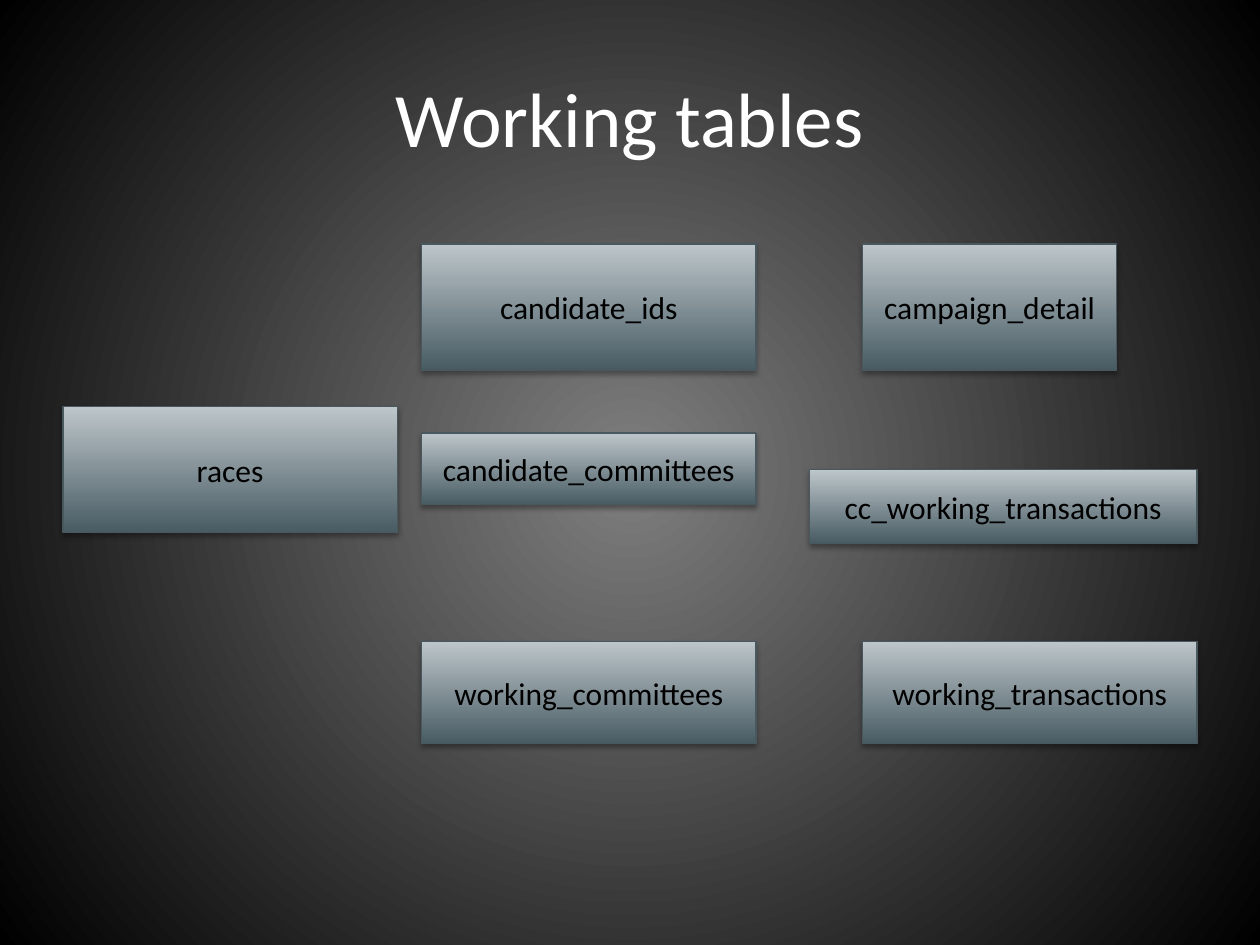
from dataclasses import dataclass

from lxml.etree import SubElement
from pptx import Presentation
from pptx.dml.color import RGBColor
from pptx.enum.shapes import MSO_SHAPE
from pptx.enum.text import MSO_ANCHOR, PP_ALIGN
from pptx.oxml.ns import qn
from pptx.util import Pt


@dataclass(frozen=True)
class Theme:
    """Colours and type sizes of the slide."""
    font: str = "Calibri"
    title_size: float = 44
    label_size: float = 18
    title_color: str = "FFFFFF"
    label_color: str = "000000"
    backdrop: tuple = ("7F7F7F", "000000")
    table_fill: tuple = ("485B63", "BDC6CA")
    table_line: str = "49585E"
    shadow: str = "000000"


THEME = Theme()
COLUMN_WIDTH = 191
LEFT, MIDDLE, RIGHT = 36, 241, 493
TOP_ROW, BOTTOM_ROW = 139.5, 366.5
TABLES = [
    ("races", (LEFT, 232.5, COLUMN_WIDTH, 72)),
    ("candidate_ids", (MIDDLE, TOP_ROW, COLUMN_WIDTH, 72)),
    ("working_transactions", (RIGHT, BOTTOM_ROW, COLUMN_WIDTH, 58.5)),
    ("candidate_committees", (MIDDLE, 247.5, COLUMN_WIDTH, 41)),
    ("campaign_detail", (RIGHT, TOP_ROW, 145, 72)),
    ("cc_working_transactions", (462.5, 268.5, 221.5, 42)),
    ("working_committees", (MIDDLE, BOTTOM_ROW, COLUMN_WIDTH, 58.5)),
]


def set_gradient(fill, colors):
    """Give a fill a two-colour gradient."""
    fill.gradient()
    for stop, color in zip(fill.gradient_stops, colors):
        stop.color.rgb = RGBColor.from_string(color)


def paint_background(slide):
    """Fill the slide with a gradient that spreads from its centre."""
    background = slide.background
    set_gradient(background.fill, THEME.backdrop)
    gradient = next(slide.element.iter(qn("a:gradFill")))
    gradient.remove(gradient.find(qn("a:lin")))
    circle = SubElement(gradient, qn("a:path"), {"path": "circle"})
    SubElement(circle, qn("a:fillToRect"), dict.fromkeys("ltrb", "50000"))


def write_centred(shape, text, size, color):
    """Write one line in the middle of a shape."""
    frame = shape.text_frame
    frame.word_wrap = True
    frame.vertical_anchor = MSO_ANCHOR.MIDDLE
    paragraph = frame.paragraphs[0]
    paragraph.text = text
    paragraph.alignment = PP_ALIGN.CENTER
    paragraph.font.name = THEME.font
    paragraph.font.size = Pt(size)
    paragraph.font.color.rgb = RGBColor.from_string(color)


def add_title(slide, text, box):
    """Place the slide title in its box."""
    title = slide.shapes.add_textbox(*map(Pt, box))
    write_centred(title, text, THEME.title_size, THEME.title_color)


def cast_shadow(shape):
    """Put a soft shadow below a shape."""
    shape.shadow.inherit = False
    effects = shape.element.spPr.find(qn("a:effectLst"))
    outer = SubElement(effects, qn("a:outerShdw"), {
        "blurRad": str(Pt(3.1)), "dist": str(Pt(1.8)),
        "dir": "5400000", "rotWithShape": "0"})
    color = SubElement(outer, qn("a:srgbClr"), {"val": THEME.shadow})
    SubElement(color, qn("a:alpha"), {"val": "35000"})


def add_database_table(slide, name, box):
    """Draw one named database table in its box."""
    table = slide.shapes.add_shape(MSO_SHAPE.RECTANGLE, *map(Pt, box))
    set_gradient(table.fill, THEME.table_fill)
    table.fill.gradient_angle = 90
    table.line.color.rgb = RGBColor.from_string(THEME.table_line)
    table.line.width = Pt(0.75)
    cast_shadow(table)
    write_centred(table, name, THEME.label_size, THEME.label_color)


def build():
    """Build the slide and save it."""
    deck = Presentation()
    deck.slide_width, deck.slide_height = Pt(720), Pt(540)
    slide = deck.slides.add_slide(deck.slide_layouts[6])
    paint_background(slide)
    add_title(slide, "Working tables", (36, 21.6, 648, 90))
    for name, box in TABLES:
        add_database_table(slide, name, box)
    deck.save("out.pptx")


build()
